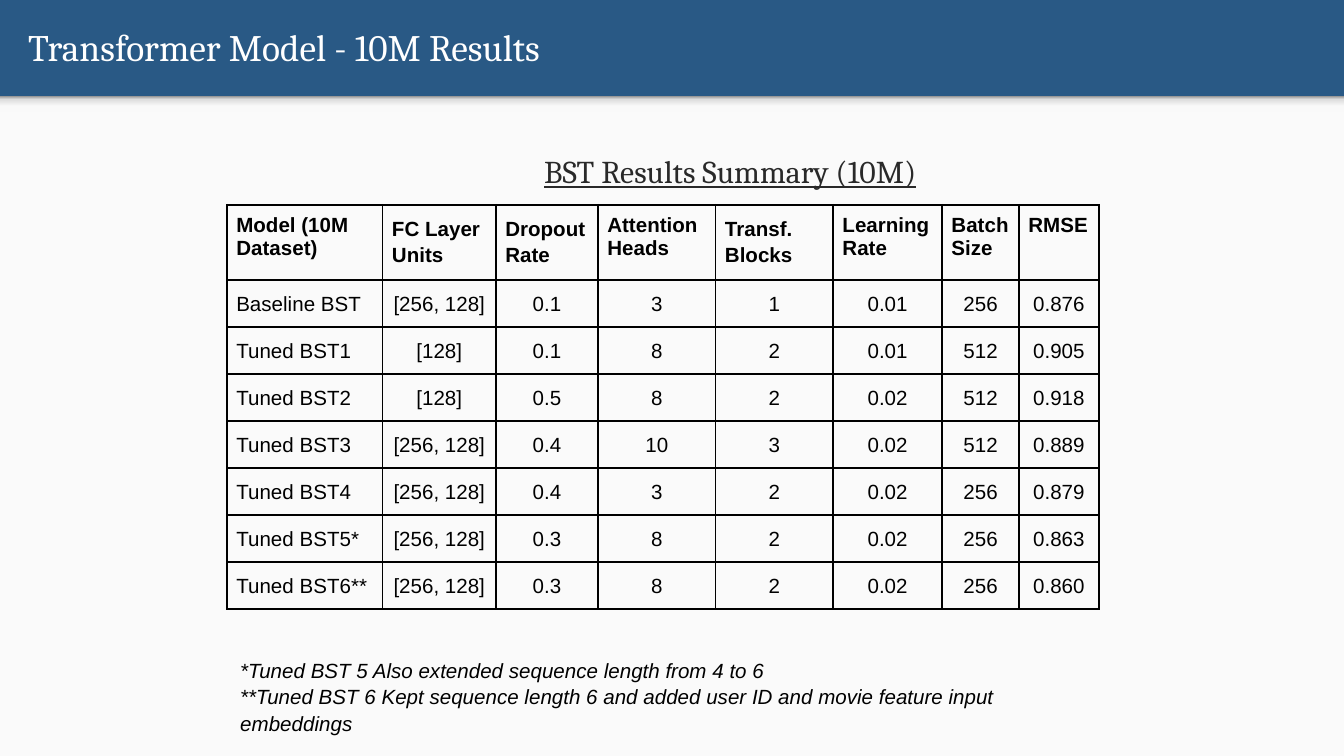
from dataclasses import dataclass

from lxml import etree
from pptx import Presentation
from pptx.dml.color import RGBColor
from pptx.enum import shapes, text
from pptx.oxml import ns
from pptx.util import Pt


@dataclass(frozen=True)
class Theme:
    """Colours, fonts and type sizes of the slide."""
    band: str = "295985"
    page: str = "FAFAFA"
    white: str = "FFFFFF"
    ink: str = "000000"
    dark: str = "292929"
    shade: tuple = ((0, "F9F9F9"), (36, "F9F9F9"), (80, "DEDEDE"), (100, "999999"))
    serif: str = "Cambria"
    sans: str = "Arial"
    title: float = 20
    head: float = 17
    body: float = 11


def node(up, tag, **attrs):
    """Append a drawing element to its parent."""
    return etree.SubElement(up, ns.qn(f"a:{tag}"), attrs)


class Deck:
    """Holds the theme and the current slide."""

    def __init__(self, theme, wide, high):
        self.theme = theme
        self.file = Presentation()
        self.file.slide_width, self.file.slide_height = Pt(wide), Pt(high)
        self.slide = self.file.slides.add_slide(self.file.slide_layouts[5])
        fill = self.slide.background.fill
        fill.solid()
        fill.fore_color.rgb = RGBColor.from_string(theme.band)

    def rect(self, box, color):
        """Add a plain rectangle without outline."""
        kind = shapes.MSO_SHAPE.RECTANGLE
        shape = self.slide.shapes.add_shape(kind, *map(Pt, box))
        shape.shadow.inherit = False
        shape.line.fill.background()
        shape.fill.solid()
        shape.fill.fore_color.rgb = RGBColor.from_string(color)
        return shape

    def fade(self, box, stops):
        """Add a rectangle that darkens towards its top."""
        shape = self.rect(box, self.theme.page)
        shape.fill.gradient()
        shape.fill.gradient_angle = 90
        ramp = shape.fill.gradient_stops[0]._gs.getparent()
        for old in list(ramp):
            ramp.remove(old)
        for pos, color in stops:
            stop = node(ramp, "gs", pos=str(pos * 1000))
            node(stop, "srgbClr", val=color)

    def label(self, para, words, color, space=1.0, align="LEFT", **font):
        """Fill one paragraph with a formatted run."""
        para.alignment = getattr(text.PP_ALIGN, align)
        para.line_spacing = space
        run = para.add_run()
        run.text = words
        run.font.color.rgb = RGBColor.from_string(color)
        for name, value in font.items():
            setattr(run.font, name, value)

    def frame(self, shape, anchor):
        """Set the margins, anchor and wrapping of a text frame."""
        frame = shape.text_frame
        look = dict(word_wrap=True, auto_size=text.MSO_AUTO_SIZE.NONE,
                    vertical_anchor=getattr(text.MSO_ANCHOR, anchor))
        look.update({f"margin_{side}": Pt(7.2)
                     for side in ("left", "right", "top", "bottom")})
        for name, value in look.items():
            setattr(frame, name, value)
        return frame

    def title(self, box, words):
        """Place and format the title placeholder."""
        shape = self.slide.shapes.title
        for name, value in zip(("left", "top", "width", "height"), box):
            setattr(shape, name, Pt(value))
        para = self.frame(shape, "MIDDLE").paragraphs[0]
        self.label(para, words, self.theme.white,
                   name=self.theme.serif, size=Pt(self.theme.title))
        tree = self.slide.shapes._spTree
        tree.append(shape._element)

    def note(self, box, lines, color, anchor="TOP", indent=0, **look):
        """Add a text box with one paragraph per line."""
        shape = self.slide.shapes.add_textbox(*map(Pt, box))
        frame = self.frame(shape, anchor)
        for i, (words, space) in enumerate(lines):
            para = frame.add_paragraph() if i else frame.paragraphs[0]
            self.label(para, words, color, space, **look)
            if indent:
                para._p.get_or_add_pPr().set("marL", str(Pt(indent)))

    def edge(self, cell):
        """Draw the four borders of a cell."""
        props = cell._tc.get_or_add_tcPr()
        for side in "LRTB":
            line = node(props, f"ln{side}", w=str(Pt(1)))
            node(node(line, "solidFill"), "srgbClr", val=self.theme.ink)
        cell.fill.background()

    def table(self, left, top, cols, rows, data, loose):
        """Add a ruled table with a bold header row."""
        box = left, top, sum(cols), sum(rows)
        grid = self.slide.shapes.add_table(len(rows), len(cols), *map(Pt, box)).table
        grid.first_row = grid.horz_banding = False
        for col, width in zip(grid.columns, cols):
            col.width = Pt(width)
        for row, height in zip(grid.rows, rows):
            row.height = Pt(height)
        for r, line in enumerate(data):
            for c, words in enumerate(line):
                cell = grid.cell(r, c)
                for side in ("left", "right", "top", "bottom"):
                    setattr(cell, f"margin_{side}", Pt(5))
                self.edge(cell)
                self.label(cell.text_frame.paragraphs[0], words, self.theme.ink,
                           space=1.15 if r or c in loose else 1.0,
                           align="CENTER" if r and c else "LEFT",
                           name=self.theme.sans, size=Pt(self.theme.body), bold=not r)


HEADS = ("Model (10M Dataset)", "FC Layer Units", "Dropout Rate", "Attention Heads",
         "Transf. Blocks", "Learning Rate", "Batch Size", "RMSE")
RUNS = (
    ("Baseline BST", "[256, 128]", "0.1", "3", "1", "0.01", "256", "0.876"),
    ("Tuned BST1", "[128]", "0.1", "8", "2", "0.01", "512", "0.905"),
    ("Tuned BST2", "[128]", "0.5", "8", "2", "0.02", "512", "0.918"),
    ("Tuned BST3", "[256, 128]", "0.4", "10", "3", "0.02", "512", "0.889"),
    ("Tuned BST4", "[256, 128]", "0.4", "3", "2", "0.02", "256", "0.879"),
    ("Tuned BST5*", "[256, 128]", "0.3", "8", "2", "0.02", "256", "0.863"),
    ("Tuned BST6**", "[256, 128]", "0.3", "8", "2", "0.02", "256", "0.860"),
)
NOTES = (
    ("*Tuned BST 5 Also extended sequence length from 4 to 6", 1.15),
    ("**Tuned BST 6 Kept sequence length 6 and added user ID and movie "
     "feature input embeddings", 1.06),
)


def main():
    """Build and save the results slide."""
    theme = Theme()
    deck = Deck(theme, 720, 405)
    deck.rect((0, 51.6, 720, 353.4), theme.page)
    deck.fade((0, 51.6, 720, 8.6), theme.shade)
    deck.title((7.9, 1.4, 694.8, 47.5), "Transformer Model - 10M Results")
    deck.note((121.6, 339.9, 467.3, 64.8), NOTES, theme.ink, "MIDDLE",
              name=theme.sans, size=Pt(theme.body), italic=True)
    deck.note((121.6, 71.3, 467.3, 35.3), [("BST Results Summary (10M)", 1.15)],
              theme.dark, indent=72, align="CENTER",
              name=theme.serif, size=Pt(theme.head), underline=True)
    deck.table(121.6, 109.7, (83.4, 60.7, 54.7, 63, 63, 58.4, 41.2, 42.8),
               (40.2, *[25.2] * len(RUNS)), (HEADS, *RUNS), loose=(1, 2, 4))
    deck.file.save("out.pptx")


if __name__ == "__main__":
    main()
